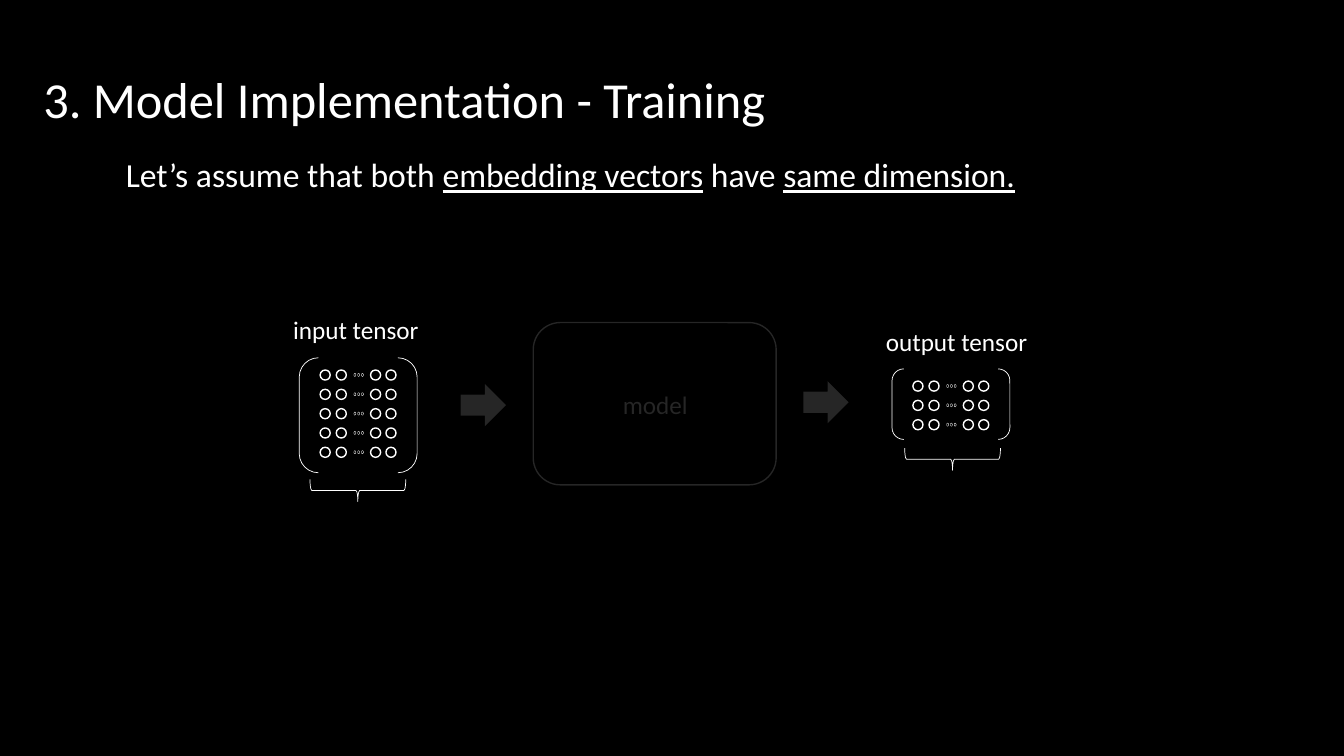
from dataclasses import dataclass

from lxml import etree
from pptx import Presentation
from pptx.dml.color import RGBColor
from pptx.enum.shapes import MSO_SHAPE
from pptx.enum.text import MSO_AUTO_SIZE
from pptx.oxml.ns import qn
from pptx.shapes.autoshape import Shape
from pptx.shapes.shapetree import GroupShapes, SlideShapes
from pptx.util import Pt

ELLIPSE = MSO_SHAPE.OVAL
BRACKETS = MSO_SHAPE.DOUBLE_BRACKET
BRACE = MSO_SHAPE.LEFT_BRACE
ARROW = MSO_SHAPE.RIGHT_ARROW
ROUNDED = MSO_SHAPE.ROUNDED_RECTANGLE
FIT_TEXT = MSO_AUTO_SIZE.SHAPE_TO_FIT_TEXT

COLOURS = {"ground": "000000", "ink": "FFFFFF"}
FONT = "Calibri"
FADED_ALPHA = "15000"

ROW_PITCH = 13.8
CIRCLE_LEFTS = (14.9, 26.4, 50.9, 61.9)
CIRCLE_TOP = 8.7
CIRCLE_SIZE = 7.2
DOT_LEFTS = (38.6, 41.3, 44)
DOT_TOP = 11.5
DOT_WIDTH, DOT_HEIGHT = 2.2, 1.4
BRACKET_WIDTH = 84.2
BRACE_WIDTH, BRACE_HEIGHT = 15.8, 68.4


@dataclass(frozen=True)
class Frame:
    left: float
    top: float
    width: float
    height: float


@dataclass(frozen=True)
class Span:
    text: str
    underlined: bool = False


@dataclass(frozen=True)
class Label:
    frame: Frame
    size: float
    spans: tuple[Span, ...]
    faded: bool = False


@dataclass(frozen=True)
class Tensor:
    left: float
    top: float
    height: float
    rows: int
    brace_left: float
    brace_top: float


LABELS = (
    Label(Frame(23.8, 45.4, 894.2, 51.1), 36, (Span("3. Model Implementation - Training"),)),
    Label(Frame(82.8, 106.6, 691.2, 36), 24, (
        Span("Let’s assume that both "),
        Span("embedding vectors", True),
        Span(" have "),
        Span("same dimension.", True),
    )),
    Label(Frame(202.3, 221, 143.3, 28.8), 18, (Span("input tensor"),)),
    Label(Frame(437.8, 274.3, 97.2, 28.8), 18, (Span("model"),), True),
    Label(Frame(625.7, 229.7, 143.3, 28.8), 18, (Span("output tensor"),)),
)
TENSORS = (
    Tensor(213.8, 255.6, 82.1, 5, 247.7, 316.1),
    Tensor(637.2, 263.5, 50.4, 3, 672.5, 293.8),
)
ARROWS = (Frame(329, 274.3, 32.4, 30.2), Frame(573.8, 272.2, 32.4, 30.2))
MODEL = Frame(380.9, 230.4, 173.5, 115.9)


def colour(name: str) -> RGBColor:
    return RGBColor.from_string(COLOURS[name])


def fade(shape: Shape) -> None:
    """Make every colour set on the shape or its text mostly transparent."""
    for value in shape.element.iter(qn("a:srgbClr")):
        etree.SubElement(value, qn("a:alpha")).set("val", FADED_ALPHA)


def add_figure(shapes: SlideShapes | GroupShapes, kind: MSO_SHAPE, frame: Frame,
               fill: str | None = None, line: float | None = None,
               rotation: float = 0) -> Shape:
    """Add a preset shape; without a line width it has no outline."""
    shape = shapes.add_shape(kind, Pt(frame.left), Pt(frame.top),
                             Pt(frame.width), Pt(frame.height))
    shape.shadow.inherit = False
    shape.rotation = rotation
    if fill:
        shape.fill.solid()
        shape.fill.fore_color.rgb = colour(fill)
    else:
        shape.fill.background()
    if line:
        shape.line.color.rgb = colour("ink")
        shape.line.width = Pt(line)
    else:
        shape.line.fill.background()
    return shape


def add_label(shapes: SlideShapes, label: Label) -> None:
    frame = label.frame
    box = shapes.add_textbox(Pt(frame.left), Pt(frame.top), Pt(frame.width), Pt(frame.height))
    box.text_frame.word_wrap = True
    box.text_frame.auto_size = FIT_TEXT
    para = box.text_frame.paragraphs[0]
    para.font.name = FONT
    para.font.size = Pt(label.size)
    para.font.color.rgb = colour("ink")
    for span in label.spans:
        run = para.add_run()
        run.text = span.text
        if span.underlined:
            run.font.underline = True
    if label.faded:
        fade(box)


def add_tensor_row(shapes: SlideShapes, left: float, top: float) -> None:
    row = shapes.add_group_shape().shapes
    for offset in DOT_LEFTS:
        add_figure(row, ELLIPSE, Frame(left + offset, top + DOT_TOP, DOT_WIDTH, DOT_HEIGHT),
                   line=0.25, rotation=270)
    for offset in CIRCLE_LEFTS:
        add_figure(row, ELLIPSE,
                   Frame(left + offset, top + CIRCLE_TOP, CIRCLE_SIZE, CIRCLE_SIZE),
                   fill="ground", line=1)


def add_tensor(shapes: SlideShapes, tensor: Tensor) -> None:
    add_figure(shapes, BRACKETS, Frame(tensor.left, tensor.top, BRACKET_WIDTH, tensor.height),
               fill="ground", line=0.5)
    for index in range(tensor.rows):
        add_tensor_row(shapes, tensor.left, tensor.top + index * ROW_PITCH)
    add_figure(shapes, BRACE,
               Frame(tensor.brace_left, tensor.brace_top, BRACE_WIDTH, BRACE_HEIGHT),
               line=0.5, rotation=270)


def main() -> None:
    deck = Presentation()
    deck.slide_width, deck.slide_height = Pt(960), Pt(540)
    page = deck.slides.add_slide(deck.slide_layouts[6])
    page.background.fill.solid()
    page.background.fill.fore_color.rgb = colour("ground")
    fade(add_figure(page.shapes, ROUNDED, MODEL, line=1))
    for arrow in ARROWS:
        fade(add_figure(page.shapes, ARROW, arrow, fill="ink"))
    for tensor in TENSORS:
        add_tensor(page.shapes, tensor)
    for label in LABELS:
        add_label(page.shapes, label)
    deck.save("out.pptx")


if __name__ == "__main__":
    main()
